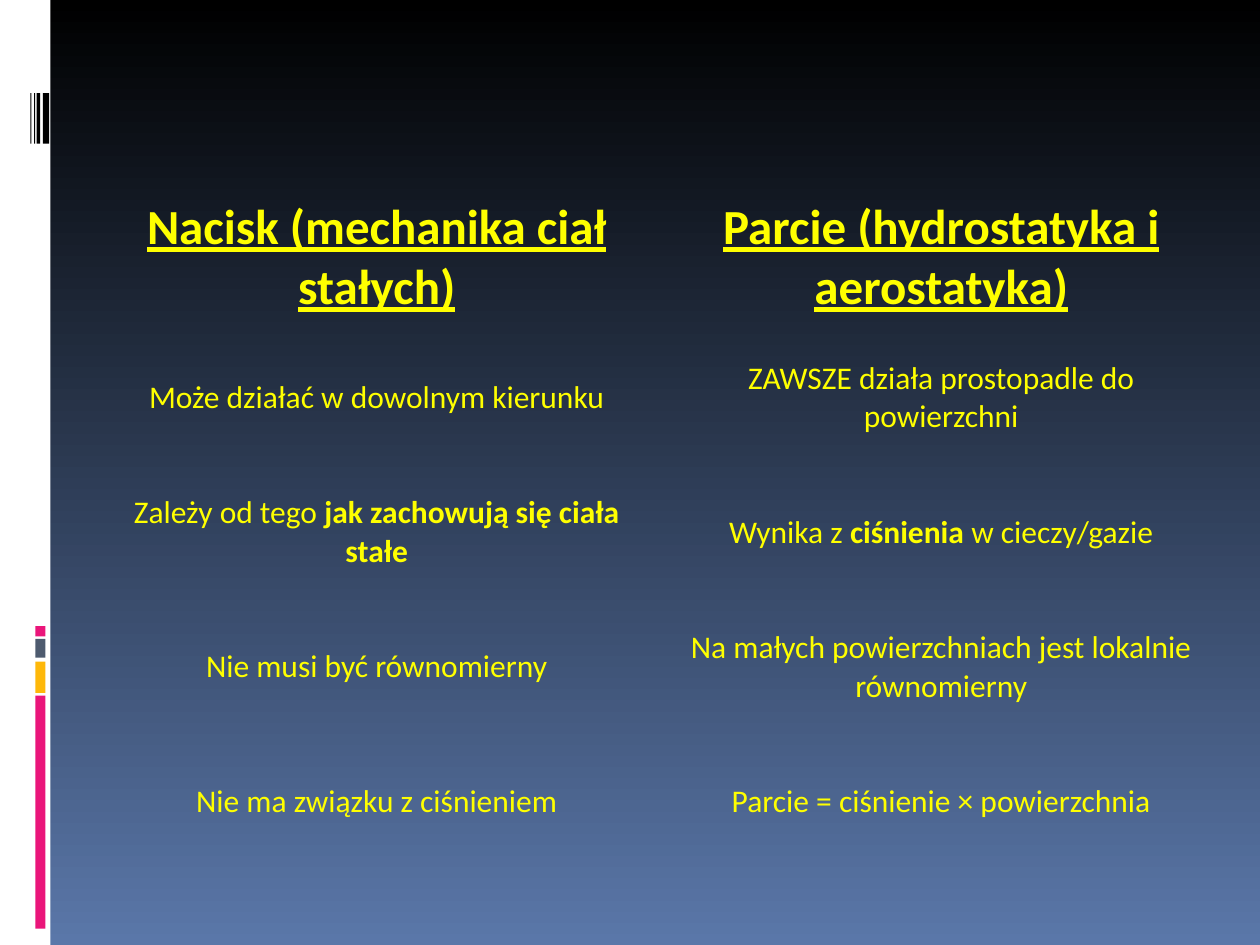
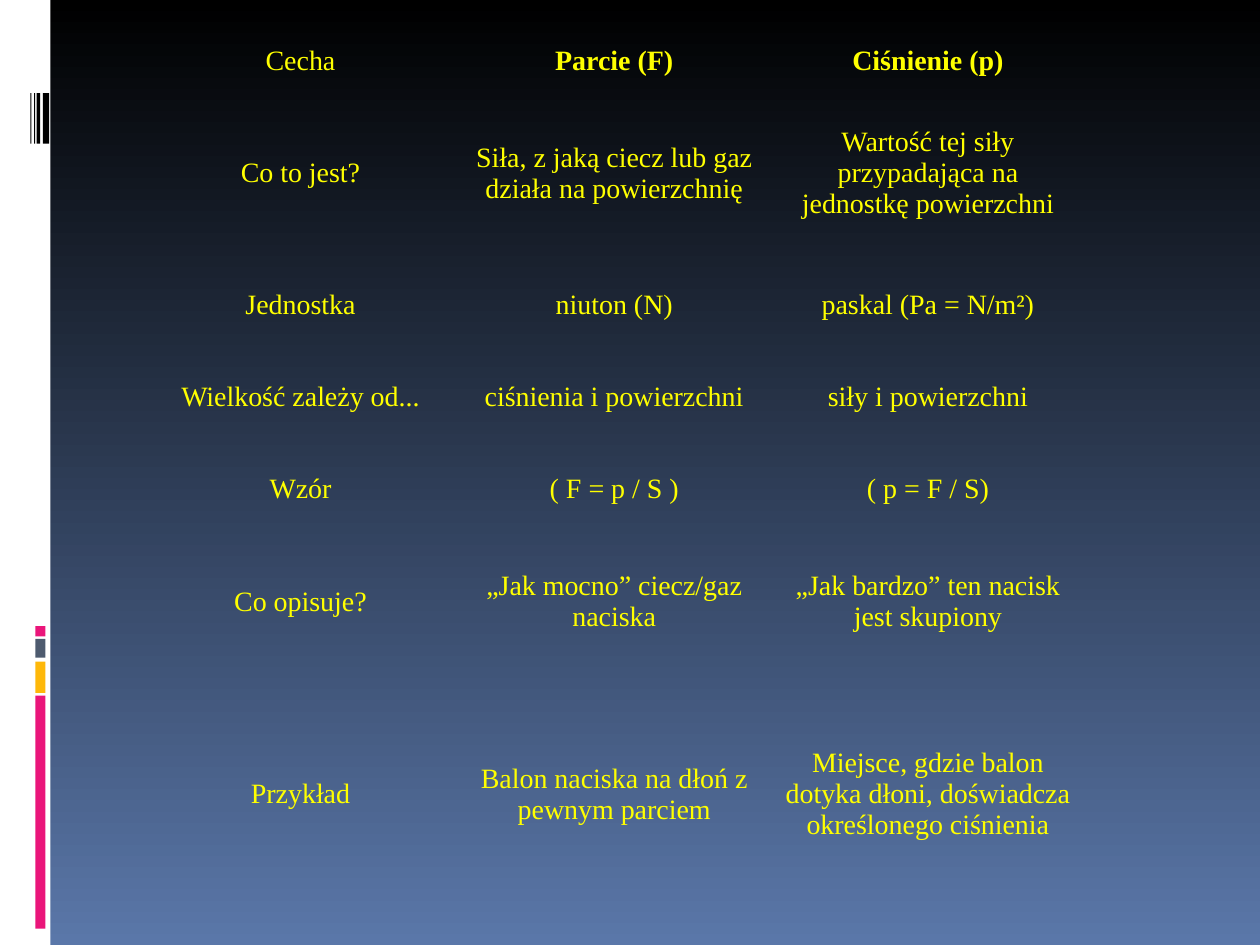
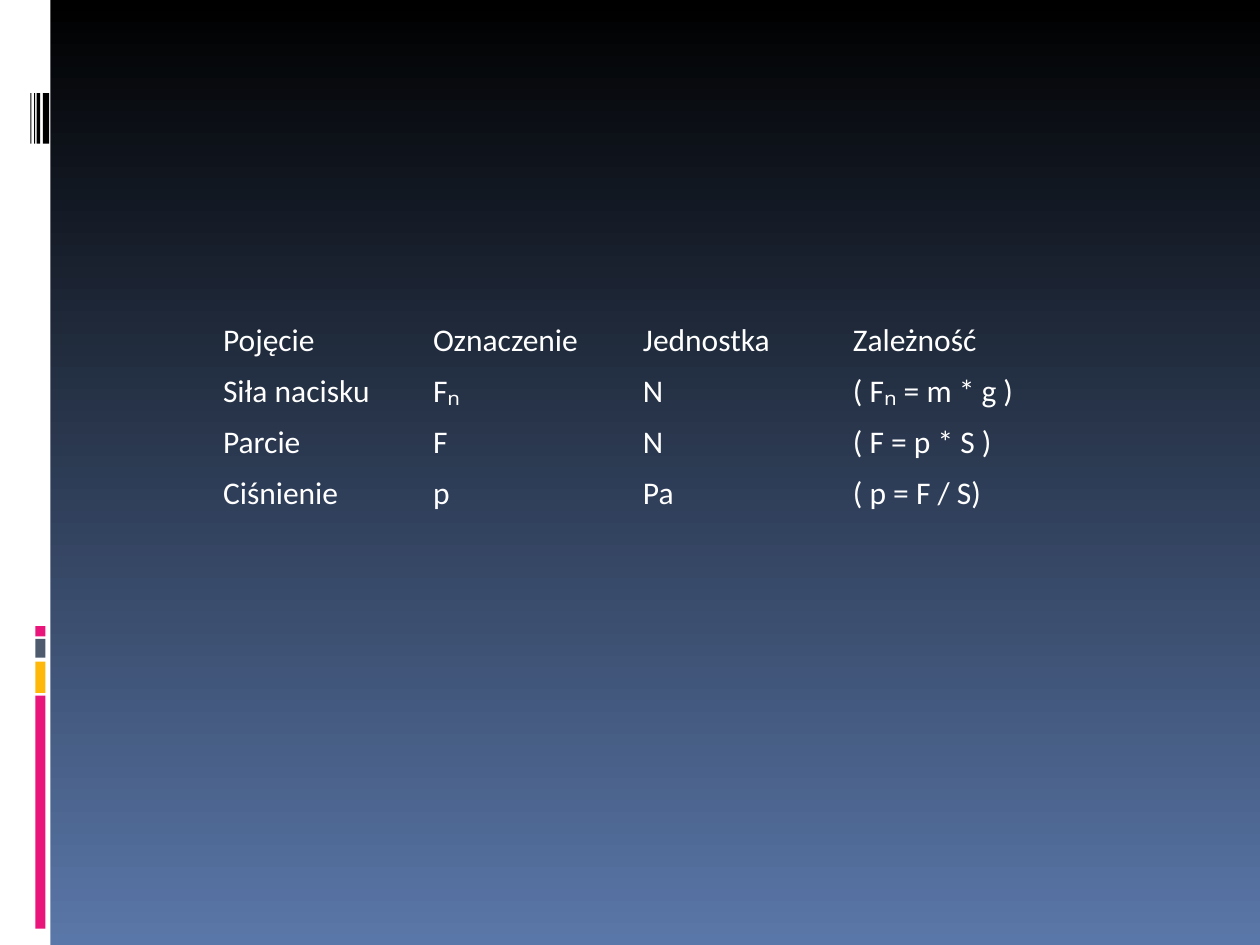
"""Build three table slides on force, thrust and pressure."""
from pptx import Presentation
from pptx.dml.color import RGBColor
from pptx.enum.shapes import MSO_SHAPE
from pptx.enum.text import MSO_ANCHOR, PP_ALIGN
from pptx.util import Inches, Pt

RECT = MSO_SHAPE.RECTANGLE
MIDDLE = MSO_ANCHOR.MIDDLE
LEFT, CENTER = PP_ALIGN.LEFT, PP_ALIGN.CENTER

BLACK = RGBColor(0x00, 0x00, 0x00)
WHITE = RGBColor(0xFF, 0xFF, 0xFF)
BLUE = RGBColor(0x5A, 0x77, 0xA9)
PINK = RGBColor(0xEA, 0x15, 0x7A)
AMBER = RGBColor(0xFE, 0xB8, 0x0A)
SLATE = RGBColor(0x4E, 0x5B, 0x6F)
YELLOW = RGBColor(0xFF, 0xFF, 0x00)

WIDE, HIGH = 10, 7.5
NO_GRID = "{2D5ABB26-0587-4C30-8999-92F81FD0307C}"

BLOCKS = [(4.97, 0.08, PINK), (5.07, 0.15, SLATE),
          (5.25, 0.25, AMBER), (5.52, 1.85, PINK)]
STRIPES = [(0.24, 0.01), (0.27, 0.01), (0.29, 0.03), (0.34, 0.05)]
RAIL = ([(0, 0, 0.4, HIGH, WHITE)]
        + [(0.28, top, 0.08, tall, hue) for top, tall, hue in BLOCKS]
        + [(left, 0.74, wide, 0.4, BLACK) for left, wide in STRIPES])

BODY = {"name": "Calibri", "size": Pt(18), "color": YELLOW}
HEAD = BODY | {"size": Pt(28), "bold": True, "underline": True}
SERIF = BODY | {"name": "Times New Roman", "size": Pt(16)}
PLAIN = BODY | {"color": WHITE}

TABLES = [
    {"at": (0.75, 1.47), "col": 4.48, "rows": [1.15] + [1.07] * 4,
     "pad": 0.1, "align": CENTER, "head": HEAD, "body": BODY, "cells": [
        ("Nacisk (mechanika ciał stałych)",
         "Parcie (hydrostatyka i aerostatyka)"),
        ("Może działać w dowolnym kierunku",
         "ZAWSZE działa prostopadle do powierzchni"),
        ("Zależy od tego |jak zachowują się ciała stałe|",
         "Wynika z |ciśnienia| w cieczy/gazie"),
        ("Nie musi być równomierny",
         "Na małych powierzchniach jest lokalnie równomierny"),
        ("Nie ma związku z ciśnieniem",
         "Parcie = ciśnienie × powierzchnia")]},
    {"at": (1.14, 0.28), "col": 2.49,
     "rows": [0.41, 1.37, 0.73, 0.73, 0.73, 1.05, 2.01],
     "pad": 0.08, "align": CENTER, "head": SERIF, "body": SERIF, "cells": [
        ("Cecha", "|Parcie (F)|", "|Ciśnienie (p)|"),
        ("Co to jest?", "Siła, z jaką ciecz lub gaz działa na powierzchnię",
         "Wartość tej siły przypadająca na jednostkę powierzchni"),
        ("Jednostka", "niuton (N)", "paskal (Pa = N/m²)"),
        ("Wielkość zależy od...", "ciśnienia i powierzchni",
         "siły i powierzchni"),
        ("Wzór", "( F = p / S )", "( p = F / S)"),
        ("Co opisuje?", "„Jak mocno” ciecz/gaz naciska",
         "„Jak bardzo” ten nacisk jest skupiony"),
        ("Przykład", "Balon naciska na dłoń z pewnym parciem",
         "Miejsce, gdzie balon dotyka dłoni, doświadcza "
         "określonego ciśnienia")]},
    {"at": (1.67, 2.5), "col": WIDE / 6, "rows": [0.4] * 4,
     "pad": 0.1, "align": LEFT, "head": PLAIN, "body": PLAIN, "cells": [
        ("Pojęcie", "Oznaczenie", "Jednostka", "Zależność"),
        ("Siła nacisku", "Fₙ", "N", "( Fₙ = m * g )"),
        ("Parcie", "F", "N", "( F = p * S )"),
        ("Ciśnienie", "p", "Pa", "( p = F / S)")]},
]


def style(font, look):
    for key, value in look.items():
        if key == "color":
            font.color.rgb = value
        else:
            setattr(font, key, value)


def dress(master, slide):
    fill = master.background.fill
    fill.gradient()
    fill.gradient_angle = 270
    for stop, hue in zip(fill.gradient_stops, (BLACK, BLUE)):
        stop.color.rgb = hue
    for *box, hue in RAIL:
        bar = slide.shapes.add_shape(RECT, *map(Inches, box))
        bar.shadow.inherit = False
        bar.fill.solid()
        bar.fill.fore_color.rgb = hue
        bar.line.fill.background()
        master.shapes.element.append(bar.element)


def write(cell, text, look, data):
    pad = Inches(data["pad"])
    form = {"vertical_anchor": MIDDLE, "margin_left": pad,
            "margin_right": pad, "margin_top": Inches(0.05),
            "margin_bottom": Inches(0.05)}
    for key, value in form.items():
        setattr(cell, key, value)
    cell.fill.background()
    para = cell.text_frame.paragraphs[0]
    para.alignment = data["align"]
    for i, part in enumerate(text.split("|")):
        if part:
            run = para.add_run()
            run.text = part
            style(run.font, look | ({"bold": True} if i % 2 else {}))


def fill_table(slide, data):
    cells, rows = data["cells"], data["rows"]
    count = len(cells[0])
    size = (*data["at"], data["col"] * count, sum(rows))
    frame = slide.shapes.add_table(len(rows), count, *map(Inches, size))
    grid = frame.table
    grid.first_row = grid.horz_banding = False
    frame.element.xpath(".//a:tableStyleId")[0].text = NO_GRID
    for r, (tall, line) in enumerate(zip(rows, cells)):
        grid.rows[r].height = Inches(tall)
        for c, text in enumerate(line):
            write(grid.cell(r, c), text, data["body" if r else "head"], data)


def main():
    deck = Presentation()
    deck.slide_width, deck.slide_height = Inches(WIDE), Inches(HIGH)
    blank = deck.slide_layouts[6]
    for data in TABLES:
        slide = deck.slides.add_slide(blank)
        if len(deck.slides) == 1:
            dress(deck.slide_master, slide)
        fill_table(slide, data)
    deck.save("out.pptx")


if __name__ == "__main__":
    main()
